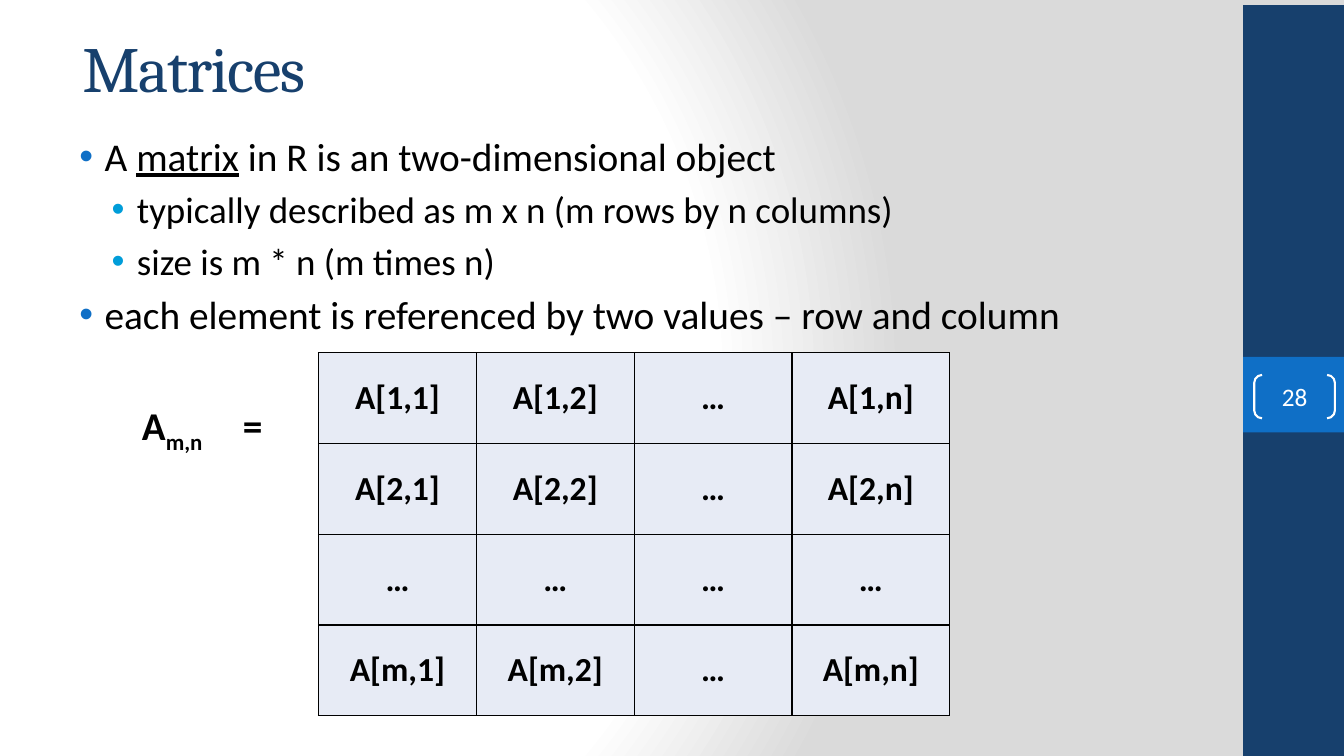
from lxml import etree
from pptx import Presentation
from pptx.dml.color import RGBColor
from pptx.enum.shapes import MSO_SHAPE
from pptx.enum.text import MSO_ANCHOR, PP_ALIGN
from pptx.oxml import parse_xml
from pptx.oxml.ns import nsdecls, qn
from pptx.util import Inches, Pt

NAVY = RGBColor(0x17, 0x40, 0x6D)
BLUE = RGBColor(0x0F, 0x6F, 0xC6)
CYAN = RGBColor(0x00, 0x9D, 0xD9)
BLACK = RGBColor(0, 0, 0)
WHITE = RGBColor(0xFF, 0xFF, 0xFF)
SILVER = RGBColor(0xDA, 0xDA, 0xDA)
CELL_FILL = RGBColor(0xE7, 0xEB, 0xF5)

BULLETS = [
    (0, [("A ", False), ("matrix", True), (" in R is an two-dimensional object", False)]),
    (1, [("typically described as m x n (m rows by n columns)", False)]),
    (1, [("size is m * n (m times n)", False)]),
    (0, [("each element is referenced by two values – row and column", False)]),
]
# Size, left margin in inches and bullet colour of each level
LEVELS = [(28.1, 0.38, BLUE), (26.4, 0.7, CYAN)]
ROWS = ["1", "2", "…", "m"]
COLUMNS = ["1", "2", "…", "n"]


def set_background(s):
    stops = "".join(f'<a:gs pos="{pos}"><a:srgbClr val="{color}"/></a:gs>'
                    for pos, color in [(0, WHITE), (75000, WHITE), (100000, SILVER)])
    bg = parse_xml(
        f'<p:bg {nsdecls("p", "a")}><p:bgPr><a:gradFill rotWithShape="1">'
        f'<a:gsLst>{stops}</a:gsLst><a:path path="circle">'
        '<a:fillToRect l="20000" t="50000" r="100000" b="50000"/></a:path>'
        '</a:gradFill><a:effectLst/></p:bgPr></p:bg>')
    s.element.cSld.insert(0, bg)


def add_run(p, text, size, color, font="Calibri", bold=False):
    r = p.add_run()
    r.text = text
    r.font.name = font
    r.font.size = Pt(size)
    r.font.color.rgb = color
    r.font.bold = bold
    return r


def add_bar(s, top, height, color):
    sp = s.shapes.add_shape(MSO_SHAPE.RECTANGLE, Inches(12.33), Inches(top),
                            Inches(1), Inches(height))
    sp.shadow.inherit = False
    sp.fill.solid()
    sp.fill.fore_color.rgb = color
    sp.line.fill.background()


def add_text_box(s, left, top, width, height):
    tf = s.shapes.add_textbox(Inches(left), Inches(top), Inches(width),
                              Inches(height)).text_frame
    tf.word_wrap = True
    return tf


def set_indent(p, margin, hanging=0):
    pPr = p._p.get_or_add_pPr()
    pPr.set("marL", str(Inches(margin)))
    pPr.set("indent", str(Inches(-hanging)))
    return pPr


def add_bullet(p, margin, color):
    pPr = set_indent(p, margin, 0.25)
    clr = etree.SubElement(pPr, qn("a:buClr"))
    etree.SubElement(clr, qn("a:srgbClr"), val=str(color))
    etree.SubElement(pPr, qn("a:buFont"), typeface="Arial")
    etree.SubElement(pPr, qn("a:buChar"), char="•")


def add_title(s):
    tf = add_text_box(s, 0.72, 0.24, 8.33, 0.85)
    tf.vertical_anchor = MSO_ANCHOR.MIDDLE
    r = add_run(tf.paragraphs[0], "Matrices", 46, NAVY, "Cambria")
    r._r.get_or_add_rPr().set("spc", "-100")


def add_body(s):
    tf = add_text_box(s, 0.56, 1.26, 11, 6)
    for i, (level, runs) in enumerate(BULLETS):
        p = tf.add_paragraph() if i else tf.paragraphs[0]
        size, margin, color = LEVELS[level]
        p.level = level
        if i:
            p.space_before = Pt(size * 0.2)
        add_bullet(p, margin, color)
        for text, underlined in runs:
            add_run(p, text, size, BLACK).font.underline = underlined

    # Label of the matrix, level with its first row
    size = LEVELS[0][0]
    p = tf.add_paragraph()
    p.space_before = Pt(45.5)
    pPr = set_indent(p, 0.75)
    tabs = etree.SubElement(pPr, qn("a:tabLst"))
    etree.SubElement(tabs, qn("a:tab"), pos=str(Inches(1.48)), algn="l")
    add_run(p, "A", size, BLACK, bold=True)
    r = add_run(p, "m,n", size, BLACK, bold=True)
    r._r.get_or_add_rPr().set("baseline", "-25000")
    add_run(p, "\t=", size, BLACK, bold=True)


def add_slide_number(s):
    sp = s.shapes.add_shape(MSO_SHAPE.DOUBLE_BRACKET, Inches(12.44), Inches(3.72),
                            Inches(0.8), Inches(0.43))
    sp.adjustments[0] = 0.18
    sp.shadow.inherit = False
    sp.fill.background()
    sp.line.color.rgb = WHITE
    sp.line.width = Pt(1.5)
    tf = sp.text_frame
    tf.margin_left = tf.margin_right = tf.margin_top = tf.margin_bottom = 0
    tf.vertical_anchor = MSO_ANCHOR.MIDDLE
    p = tf.paragraphs[0]
    p.alignment = PP_ALIGN.CENTER
    add_run(p, "28", 18, WHITE)


def add_borders(cell):
    tcPr = cell._tc.get_or_add_tcPr()
    for i, side in enumerate(["lnL", "lnR", "lnT", "lnB"]):
        tcPr.insert(i, parse_xml(
            f'<a:{side} {nsdecls("a")} w="{Pt(1)}"><a:solidFill>'
            f'<a:srgbClr val="{BLACK}"/></a:solidFill></a:{side}>'))


def add_matrix(s):
    table = s.shapes.add_table(len(ROWS), len(COLUMNS), Inches(3.16), Inches(3.5),
                               Inches(6.26), Inches(3.6)).table
    table.first_row = table.horz_banding = False
    for i, row in enumerate(ROWS):
        table.rows[i].height = Inches(0.9)
        for j, column in enumerate(COLUMNS):
            cell = table.cell(i, j)
            cell.fill.solid()
            cell.fill.fore_color.rgb = CELL_FILL
            cell.vertical_anchor = MSO_ANCHOR.MIDDLE
            cell.margin_left = cell.margin_right = Inches(0.07)
            cell.margin_top = cell.margin_bottom = Inches(0.04)
            add_borders(cell)
            p = cell.text_frame.paragraphs[0]
            p.alignment = PP_ALIGN.CENTER
            text = "…" if "…" in (row, column) else f"A[{row},{column}]"
            add_run(p, text, 24, BLACK, bold=True)


def main():
    prs = Presentation()
    prs.slide_width, prs.slide_height = Inches(13.33), Inches(7.5)
    s = prs.slides.add_slide(prs.slide_layouts[6])
    set_background(s)
    # Side band
    add_bar(s, 0.05, 7.5, NAVY)
    add_bar(s, 3.54, 0.75, BLUE)
    # Content
    add_title(s)
    add_body(s)
    add_slide_number(s)
    add_matrix(s)
    prs.save("out.pptx")


if __name__ == "__main__":
    main()
